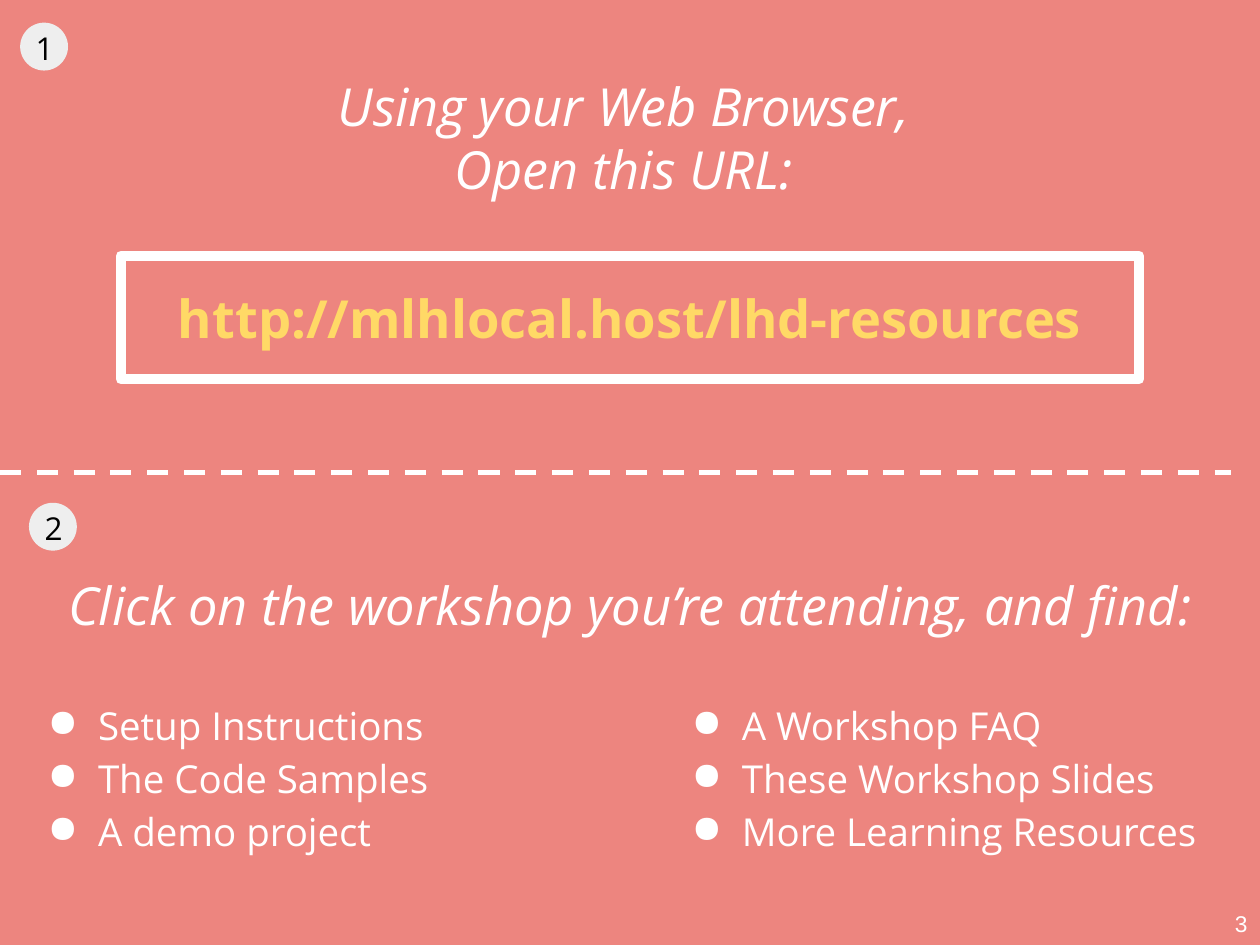
from dataclasses import dataclass
from lxml.etree import SubElement
from pptx import Presentation
from pptx.dml.color import RGBColor
from pptx.enum.dml import MSO_LINE
from pptx.enum.shapes import MSO_CONNECTOR, MSO_SHAPE
from pptx.enum.text import MSO_ANCHOR, PP_ALIGN
from pptx.oxml.ns import qn
from pptx.util import Inches, Pt


@dataclass(frozen=True)
class Theme:
    back: RGBColor = RGBColor(0xED, 0x85, 0x7F)
    white: RGBColor = RGBColor(0xFF, 0xFF, 0xFF)
    black: RGBColor = RGBColor(0, 0, 0)
    gold: RGBColor = RGBColor(0xFF, 0xD9, 0x66)
    gray: RGBColor = RGBColor(0xEE, 0xEE, 0xEE)
    font: str = "Open Sans"
    plain: str = "Arial"
    head: int = 30
    body: int = 22
    badge: int = 18
    page: int = 13


THEME = Theme()


def place(box):
    return [Inches(value) for value in box]


def write(shape, lines, size, color, align=PP_ALIGN.CENTER, font=THEME.font,
          bold=False, italic=False, bullet=False, anchor=MSO_ANCHOR.MIDDLE):
    frame = shape.text_frame
    frame.word_wrap = True
    frame.vertical_anchor = anchor
    frame.margin_left = frame.margin_right = Inches(0.1)
    frame.margin_top = frame.margin_bottom = Inches(0.1)
    frame.text = "\n".join(lines)
    for para in frame.paragraphs:
        para.alignment = align
        if bullet:
            para.line_spacing = 1.15
            mark(para)
        for run in para.runs:
            run.font.name = font
            run.font.size = Pt(size)
            run.font.color.rgb = color
            run.font.bold = bold
            run.font.italic = italic


def mark(para):
    props = para._p.get_or_add_pPr()
    props.set("marL", str(Inches(0.5)))
    props.set("indent", str(Inches(-0.4)))
    tint = SubElement(props, qn("a:buClr"))
    SubElement(tint, qn("a:srgbClr"), val=str(THEME.white))
    SubElement(props, qn("a:buChar"), char="●")


def add_text(slide, box, lines, size, color, **style):
    write(slide.shapes.add_textbox(*place(box)), lines, size, color, **style)


def add_head(slide, box, lines):
    add_text(slide, box, lines, THEME.head, THEME.white, italic=True)


def add_list(slide, box, lines):
    add_text(slide, box, lines, THEME.body, THEME.white,
             align=PP_ALIGN.LEFT, bullet=True)


def add_badge(slide, box, label):
    left, top, width, height = box
    disc = slide.shapes.add_shape(
        MSO_SHAPE.OVAL, *place((left + 0.05, top + 0.05, 0.38, 0.38)))
    disc.shadow.inherit = False
    disc.fill.solid()
    disc.fill.fore_color.rgb = THEME.gray
    disc.line.fill.background()
    add_text(slide, box, [label], THEME.badge, THEME.black)


def add_link(slide, box, link):
    panel = slide.shapes.add_shape(MSO_SHAPE.RECTANGLE, *place(box))
    panel.shadow.inherit = False
    panel.fill.solid()
    panel.fill.fore_color.rgb = THEME.back
    panel.line.color.rgb = THEME.white
    panel.line.width = Pt(6)
    write(panel, [link], THEME.head, THEME.gold, bold=True)


def add_rule(slide, left, top, width):
    rule = slide.shapes.add_connector(
        MSO_CONNECTOR.STRAIGHT, *place((left, top, left + width, top)))
    rule.line.color.rgb = THEME.white
    rule.line.width = Pt(3)
    rule.line.dash_style = MSO_LINE.DASH
    SubElement(rule._element.spPr, qn("a:effectLst"))


def add_open(slide, box):
    """First step: open the address."""
    left, top, width, height = box
    add_head(slide, (left, top + 0.63, width, 0.92),
             ["Using your Web Browser, ", "Open this URL: "])
    add_link(slide, (left + 0.78, top + 2.03, 8.08, 0.98),
             "http://mlhlocal.host/lhd-resources")
    add_badge(slide, (left - 0.07, top + 0.13, 0.49, 0.5), "1")


def add_find(slide, box):
    """Second step: what each workshop page holds."""
    left, top, width, height = box
    add_head(slide, (left, top + 0.59, width, 0.92),
             ["Click on the workshop you’re attending, and find:"])
    lists = [
        ["Setup Instructions", "The Code Samples", "A demo project"],
        ["A Workshop FAQ", "These Workshop Slides", "More Learning Resources"],
    ]
    wide = 4.54
    step = width - wide
    for col, lines in enumerate(lists):
        add_list(slide, (left + col * step, top + 1.49, wide, 1.82), lines)
    add_badge(slide, (left, top + 0.19, 0.49, 0.5), "2")


def main():
    deck = Presentation()
    deck.slide_width, deck.slide_height = Inches(10), Inches(7.5)
    slide = deck.slides.add_slide(deck.slide_layouts[6])
    slide.background.fill.solid()
    slide.background.fill.fore_color.rgb = THEME.back

    # Page number
    add_text(slide, (9.4, 7.12, 0.6, 0.38), ["3"], THEME.page, THEME.white,
             align=PP_ALIGN.RIGHT, font=THEME.plain, anchor=MSO_ANCHOR.TOP)

    # Two steps, split by a dashed rule
    half = 3.75
    add_open(slide, (0.18, 0, 9.65, half))
    add_rule(slide, 0, half, 9.77)
    add_find(slide, (0.18, half, 9.65, half))
    deck.save("out.pptx")


if __name__ == "__main__":
    main()
